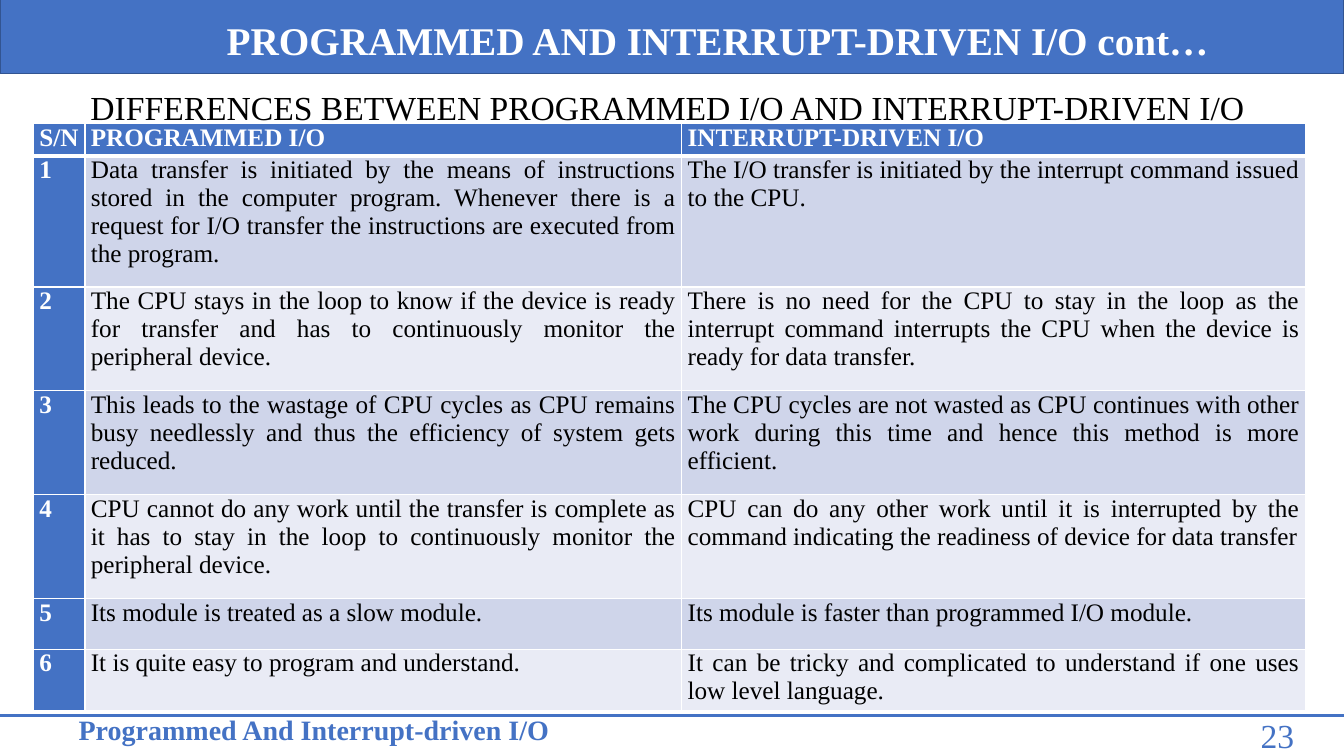
import dataclasses

import pptx
import pptx.dml.color
import pptx.enum.shapes
import pptx.enum.text
import pptx.oxml
import pptx.oxml.ns
import pptx.util
from lxml import etree
from pptx.util import Cm

ALIGN = pptx.enum.text.PP_ALIGN


@dataclasses.dataclass(frozen=True)
class Theme:
    """Colours, font and type sizes of the slide."""

    accent: str = "4472C4"
    accent_dark: str = "325491"
    band_dark: str = "CFD5EA"
    band_light: str = "E9EBF5"
    white: str = "FFFFFF"
    black: str = "000000"
    font: str = "Times New Roman"
    title_size: int = 28
    heading_size: int = 24
    footer_size: int = 20
    table_size: int = 18


THEME = Theme()
SLIDE_WIDTH = Cm(33.87)
COLUMN_WIDTHS = (1.3, 15.04, 15.72)
ROW_HEIGHTS = (0.81, 3.3, 2.62, 2.62, 2.62, 1.27, 1.55)
HEADER = ("S/N", "PROGRAMMED I/O", "INTERRUPT-DRIVEN I/O")
DIFFERENCES = (
    ("Data transfer is initiated by the means of instructions stored in the computer program. "
     "Whenever there is a request for I/O transfer the instructions are executed from the program.",
     "The I/O transfer is initiated by the interrupt command issued to the CPU."),
    ("The CPU stays in the loop to know if the device is ready for transfer and has to "
     "continuously monitor the peripheral device.",
     "There is no need for the CPU to stay in the loop as the interrupt command interrupts "
     "the CPU when the device is ready for data transfer."),
    ("This leads to the wastage of CPU cycles as CPU remains busy needlessly and thus the "
     "efficiency of system gets reduced.",
     "The CPU cycles are not wasted as CPU continues with other work during this time and "
     "hence this method is more efficient."),
    ("CPU cannot do any work until the transfer is complete as it has to stay in the loop to "
     "continuously monitor the peripheral device.",
     "CPU can do any other work until it is interrupted by the command indicating the "
     "readiness of device for data transfer"),
    ("Its module is treated as a slow module.",
     "Its module is faster than programmed I/O module."),
    ("It is quite easy to program and understand.",
     "It can be tricky and complicated to understand if one uses low level language."),
)


def rgb(value):
    """Return a colour object for a hex value."""
    return pptx.dml.color.RGBColor.from_string(value)


def write_text(text_frame, text, *, size, color, bold=False, align=ALIGN.LEFT, spacing=1.0):
    """Write one formatted paragraph into a text frame."""
    text_frame.word_wrap = True
    paragraph = text_frame.paragraphs[0]
    paragraph.alignment = align
    paragraph.line_spacing = spacing
    run = paragraph.add_run()
    run.text = text
    run.font.name = THEME.font
    run.font.size = pptx.util.Pt(size)
    run.font.bold = bold
    run.font.color.rgb = rgb(color)


def add_label(slide, text, left, top, width, height, **text_format):
    """Add a text box with one formatted paragraph."""
    box = slide.shapes.add_textbox(Cm(left), Cm(top), Cm(width), Cm(height))
    write_text(box.text_frame, text, **text_format)


def add_title(slide, text):
    """Place the title placeholder on top of the header bar."""
    bar = slide.shapes.add_shape(
        pptx.enum.shapes.MSO_SHAPE.RECTANGLE, 0, Cm(-0.25), SLIDE_WIDTH, Cm(2.11))
    bar.shadow.inherit = False
    bar.fill.solid()
    bar.fill.fore_color.rgb = rgb(THEME.accent)
    bar.line.color.rgb = rgb(THEME.accent_dark)
    bar.line.width = pptx.util.Pt(1)
    title = slide.shapes.title
    title.element.addprevious(bar.element)
    title.left, title.top, title.width, title.height = Cm(5.46), Cm(0.28), Cm(25.43), Cm(1.45)
    title.text_frame.auto_size = pptx.enum.text.MSO_AUTO_SIZE.NONE
    title.text_frame.vertical_anchor = pptx.enum.text.MSO_ANCHOR.TOP
    write_text(title.text_frame, text, size=THEME.title_size, color=THEME.white, bold=True)


def add_footer(slide, text, number):
    """Add the footer rule, its caption and the slide number."""
    rule = slide.shapes.add_connector(
        pptx.enum.shapes.MSO_CONNECTOR.STRAIGHT, 0, Cm(18.03), SLIDE_WIDTH, Cm(18.03))
    rule.line.color.rgb = rgb(THEME.accent)
    rule.line.width = pptx.util.Pt(1.5)
    etree.SubElement(rule.element.spPr, pptx.oxml.ns.qn("a:effectLst"))
    add_label(slide, text, 1.73, 17.83, 12.9, 1.12,
              size=THEME.footer_size, color=THEME.accent, bold=True)
    add_label(slide, number, 31.52, 17.88, 1.96, 1.27,
              size=THEME.heading_size, color=THEME.accent)


def set_borders(cell, **widths):
    """Draw white borders on a cell, 1 pt wide unless a side is given."""
    properties = cell._tc.get_or_add_tcPr()
    for side in "LRTB":
        width = pptx.util.Pt(widths.get(side, 1))
        properties.append(pptx.oxml.parse_xml(
            f'<a:ln{side} {pptx.oxml.ns.nsdecls("a")} w="{width}"><a:solidFill>'
            f'<a:srgbClr val="{THEME.white}"/></a:solidFill></a:ln{side}>'))


def fill_cell(cell, text, row, column):
    """Format one table cell according to its row and column."""
    emphasised = row == 0 or column == 0
    band = THEME.band_dark if row % 2 else THEME.band_light
    set_borders(cell, B=3 if row == 0 else 1, T=3 if row == 1 else 1)
    cell.fill.solid()
    cell.fill.fore_color.rgb = rgb(THEME.accent if emphasised else band)
    cell.margin_left = cell.margin_right = Cm(0.15)
    cell.margin_top = cell.margin_bottom = 0
    write_text(cell.text_frame, text, size=THEME.table_size, bold=emphasised,
               color=THEME.white if emphasised else THEME.black, align=ALIGN.JUSTIFY)


def add_comparison(slide):
    """Add the numbered table of differences."""
    rows = [HEADER] + [(str(number), *pair) for number, pair in enumerate(DIFFERENCES, 1)]
    table = slide.shapes.add_table(
        len(rows), len(HEADER), Cm(0.84), Cm(3.12),
        Cm(sum(COLUMN_WIDTHS)), Cm(sum(ROW_HEIGHTS))).table
    for column, width in zip(table.columns, COLUMN_WIDTHS):
        column.width = Cm(width)
    for row, height in zip(table.rows, ROW_HEIGHTS):
        row.height = Cm(height)
    for row, texts in enumerate(rows):
        for column, text in enumerate(texts):
            fill_cell(table.cell(row, column), text, row, column)


def main():
    """Build the slide and save it."""
    presentation = pptx.Presentation()
    presentation.slide_width, presentation.slide_height = SLIDE_WIDTH, Cm(19.05)
    slide = presentation.slides.add_slide(presentation.slide_layouts.get_by_name("Title Only"))
    add_title(slide, "PROGRAMMED AND INTERRUPT-DRIVEN I/O cont…")
    add_footer(slide, "Programmed And Interrupt-driven I/O", "23")
    add_comparison(slide)
    add_label(slide, "DIFFERENCES BETWEEN PROGRAMMED I/O AND INTERRUPT-DRIVEN I/O",
              2.03, 1.57, 31.29, 1.63, size=THEME.heading_size, color=THEME.black,
              align=ALIGN.JUSTIFY, spacing=1.5)
    presentation.save("out.pptx")


if __name__ == "__main__":
    main()
